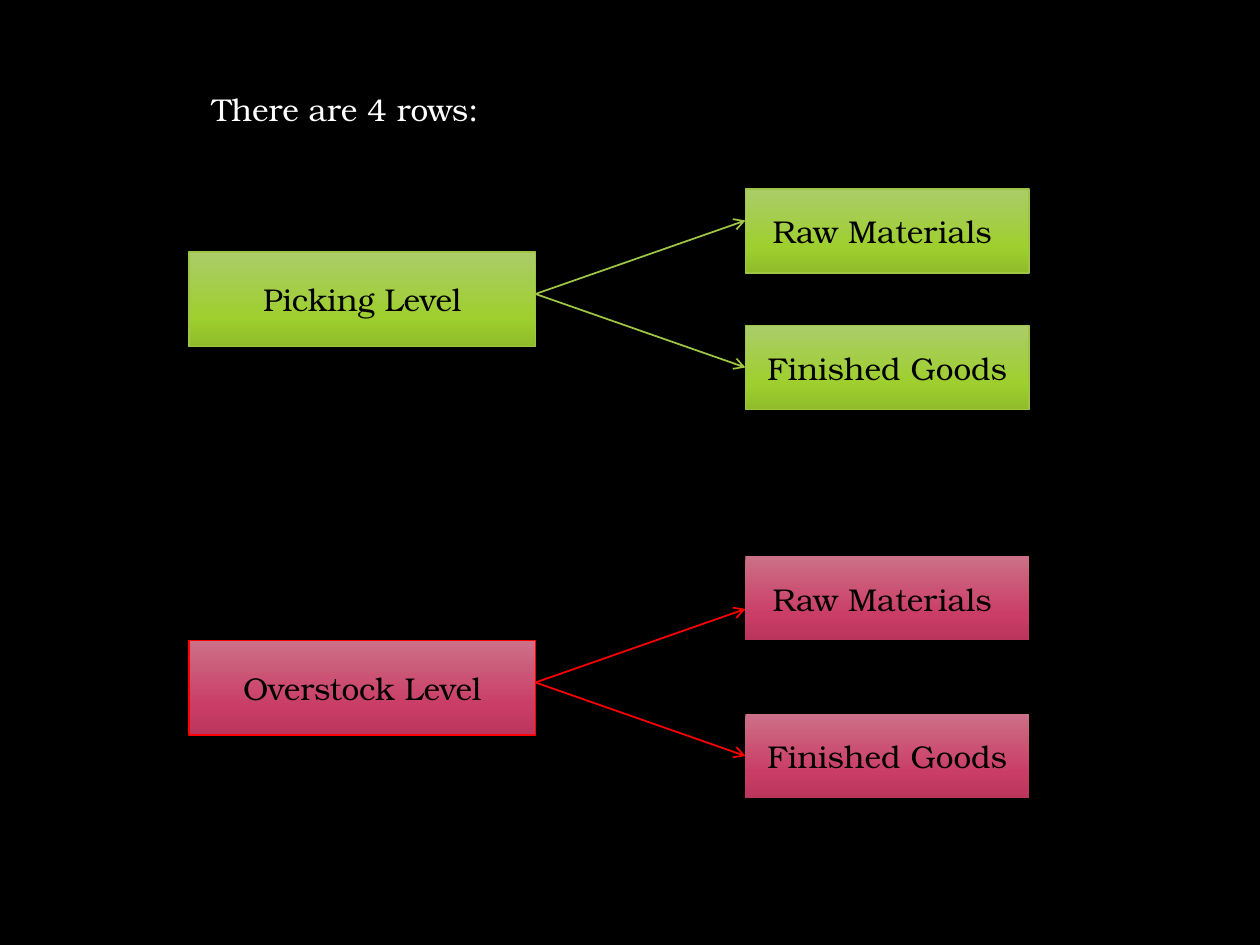
"""Build a slide that splits two storage levels into four rows."""
from copy import deepcopy
from dataclasses import dataclass
from typing import Optional

from lxml import etree
from pptx import Presentation
from pptx.dml.color import RGBColor
from pptx.enum.shapes import MSO_CONNECTOR, MSO_SHAPE
from pptx.enum.text import MSO_ANCHOR, PP_ALIGN
from pptx.oxml.ns import qn
from pptx.util import Inches, Pt

RECTANGLE = MSO_SHAPE.RECTANGLE
STRAIGHT = MSO_CONNECTOR.STRAIGHT
MIDDLE = MSO_ANCHOR.MIDDLE
CENTER = PP_ALIGN.CENTER
LEFT_SIDE = 1

UNITS_PER_INCH = 12
LEVEL_COLUMN, LEVEL_WIDTH, LEVEL_HEIGHT = 18, 33, 9
GOODS_COLUMN, GOODS_WIDTH, GOODS_HEIGHT = 71, 27, 8
ARROW_START, ARROW_SPREAD = 4, 7
FONT_FORMAT = {"name": "TeX Gyre Bonum", "size": Pt(18)}
GRADIENT_POSITIONS = (0, 0.69, 1)


@dataclass(frozen=True)
class Box:
    column: float
    row: float
    width: float
    height: float


@dataclass(frozen=True)
class Palette:
    gradient: tuple[str, str, str]
    line: str
    level_line_width: float
    goods_line_width: Optional[float]


@dataclass(frozen=True)
class Level:
    name: str
    row: float
    raw_row: float
    finished_row: float
    palette: Palette


GREEN = Palette(("ABCC69", "9ECF2E", "90BC2A"), "9EC544", 1, 1)
RED = Palette(("CC7087", "CA3D66", "BA355B"), "FF0000", 0.75, None)
LEVELS = (
    Level("Picking Level", 24, 18, 31, GREEN),
    Level("Overstock Level", 61, 53, 68, RED),
)


def color(value: str) -> RGBColor:
    """Turn a hex string into a colour."""
    return RGBColor.from_string(value)


def units(*values: float) -> list[int]:
    """Turn grid units into lengths."""
    return [Inches(value / UNITS_PER_INCH) for value in values]


def place(box: Box) -> list[int]:
    """Give the left, top, width and height of a box."""
    return units(box.column, box.row, box.width, box.height)


def write(shape, text: str, text_color: str) -> None:
    """Write one formatted line of text into a shape."""
    shape.text_frame.word_wrap = True
    run = shape.text_frame.paragraphs[0].add_run()
    run.text = text
    for name, value in FONT_FORMAT.items():
        setattr(run.font, name, value)
    run.font.color.rgb = color(text_color)


def fill_gradient(shape, colors: tuple[str, str, str]) -> None:
    """Fill a shape with a three-stop gradient running downwards."""
    shape.fill.gradient()
    shape.fill.gradient_angle = 270
    stop_list = shape._element.spPr.find(".//" + qn("a:gsLst"))
    stop_list.append(deepcopy(stop_list[-1]))
    stops = shape.fill.gradient_stops
    for stop, position, value in zip(stops, GRADIENT_POSITIONS, colors):
        stop.position = position
        stop.color.rgb = color(value)


def draw_box(slide, box: Box, text: str, palette: Palette, line_width: Optional[float]):
    """Draw a labelled gradient rectangle."""
    shape = slide.shapes.add_shape(RECTANGLE, *place(box))
    fill_gradient(shape, palette.gradient)
    if line_width is None:
        shape.line.fill.background()
    else:
        shape.line.color.rgb = color(palette.line)
        shape.line.width = Pt(line_width)
    shape.shadow.inherit = False
    write(shape, text, "000000")
    shape.text_frame.vertical_anchor = MIDDLE
    shape.text_frame.paragraphs[0].alignment = CENTER
    return shape


def draw_arrow(slide, start_row: float, end_row: float, line_color: str):
    """Draw an arrow from the level column to the goods column."""
    start = units(LEVEL_COLUMN + LEVEL_WIDTH, start_row)
    end = units(GOODS_COLUMN, end_row)
    connector = slide.shapes.add_connector(STRAIGHT, *start, *end)
    connector.line.color.rgb = color(line_color)
    connector.line.width = Pt(1)
    properties = connector._element.spPr
    etree.SubElement(properties.find(qn("a:ln")), qn("a:tailEnd"), type="arrow")
    etree.SubElement(properties, qn("a:effectLst"))
    return connector


def draw_level(slide, level: Level) -> None:
    """Draw a level, its two kinds of goods and the arrows between them."""
    palette = level.palette
    level_box = Box(LEVEL_COLUMN, level.row, LEVEL_WIDTH, LEVEL_HEIGHT)
    draw_box(slide, level_box, level.name, palette, palette.level_line_width)
    start_row = level.row + ARROW_START
    draw_arrow(slide, start_row, start_row - ARROW_SPREAD, palette.line)
    finished_arrow = draw_arrow(slide, start_row, start_row + ARROW_SPREAD, palette.line)
    goods = (("Raw Materials ", level.raw_row), ("Finished Goods", level.finished_row))
    for name, row in goods:
        goods_box = Box(GOODS_COLUMN, row, GOODS_WIDTH, GOODS_HEIGHT)
        shape = draw_box(slide, goods_box, name, palette, palette.goods_line_width)
    finished_arrow.end_connect(shape, LEFT_SIDE)


def main() -> None:
    """Build and save the presentation."""
    presentation = Presentation()
    presentation.slide_width, presentation.slide_height = Inches(10), Inches(7.5)
    slide = presentation.slides.add_slide(presentation.slide_layouts[6])
    slide.background.fill.solid()
    slide.background.fill.fore_color.rgb = color("000000")
    heading = slide.shapes.add_textbox(*place(Box(19, 8, 63, 12)))
    write(heading, "There are 4 rows:", "FFFFFF")
    for level in LEVELS:
        draw_level(slide, level)
    presentation.save("out.pptx")


if __name__ == "__main__":
    main()
